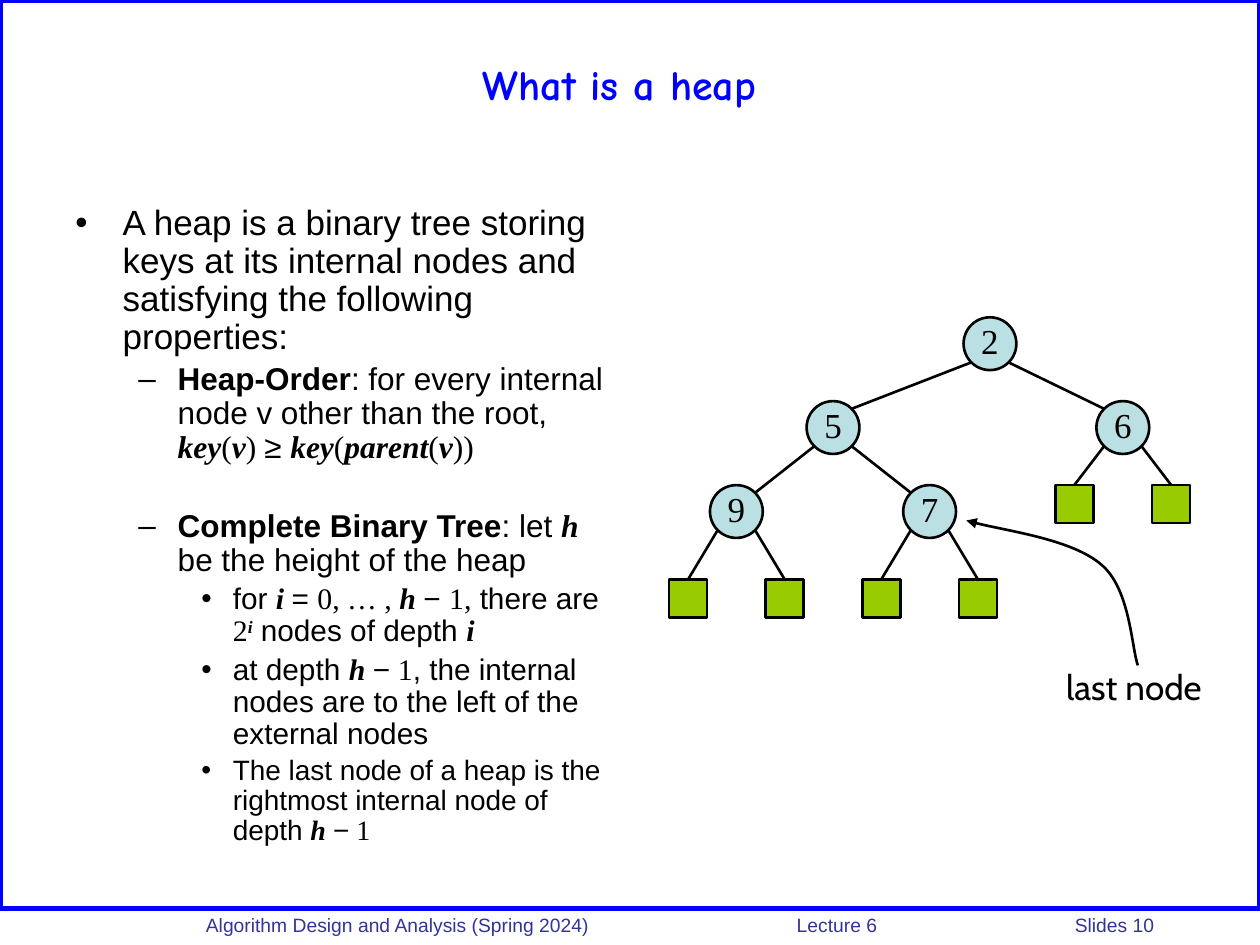
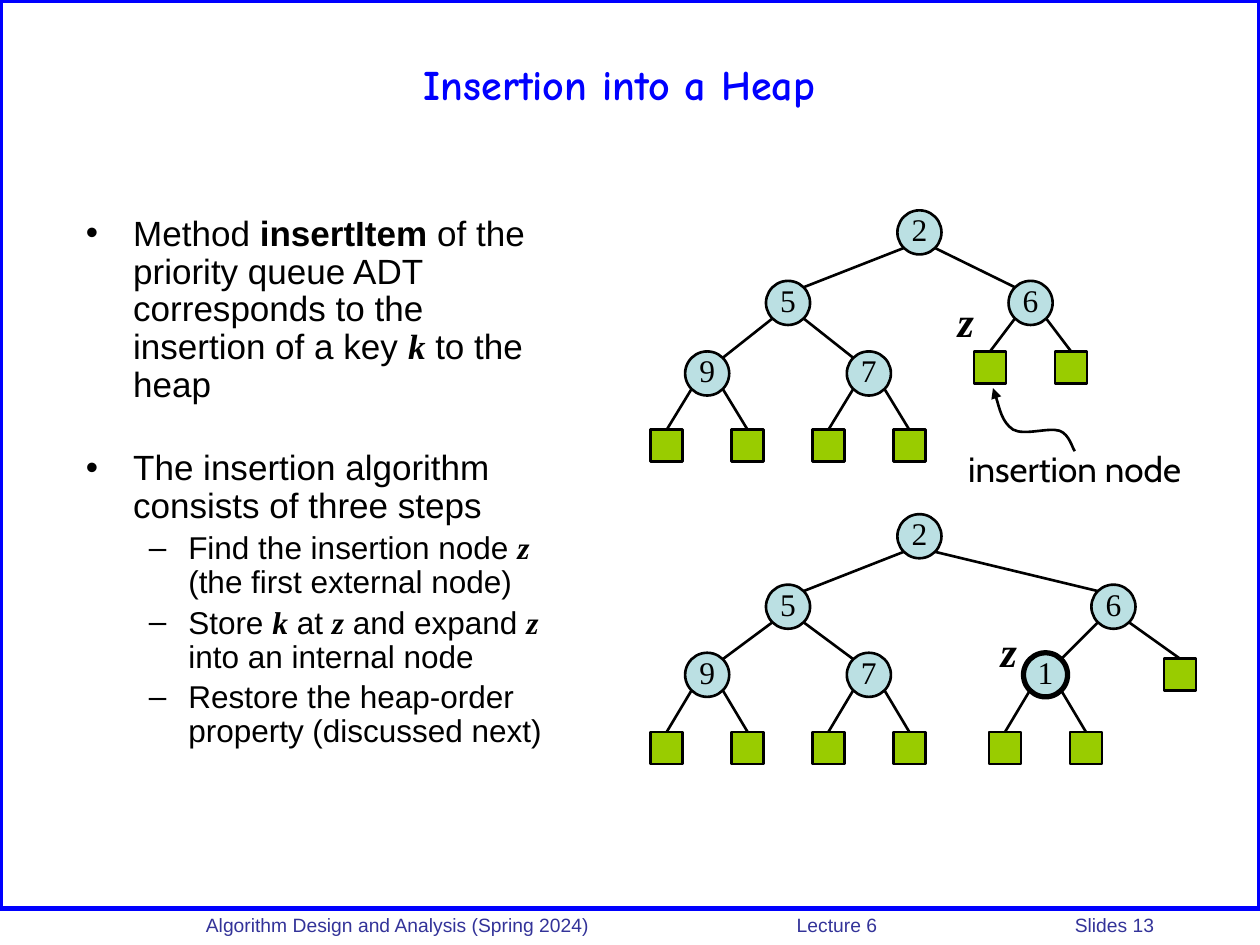
import lxml.etree
import pptx
import pptx.dml.color
import pptx.enum.shapes
import pptx.enum.text
import pptx.oxml.ns
import pptx.util

Pt = pptx.util.Pt
qn = pptx.oxml.ns.qn
MSO = pptx.enum.shapes.MSO_SHAPE
ALIGN = pptx.enum.text.PP_ALIGN
ANCHOR = pptx.enum.text.MSO_ANCHOR

# Shared look
BLUE, NAVY, BLACK = "0000FF", "333399", "000000"
NODE_FILL, LEAF_FILL = "BBE0E3", "99CC00"
SANS, SERIF, TITLE_FONT, LABEL_FONT = "Arial", "Times New Roman", "Comic Neue", "Cabin"
FOOTER = ("Algorithm Design and Analysis (Spring 2024)", "Lecture 6")
FOOTER_TABS = (337.6, 496.5)
TITLE_BOX = (48, 6, 612, 84)

# Run styles: font, bold, italic, superscript
STYLES = {
    "plain": (SANS, False, False, False),
    "bold": (SANS, True, False, False),
    "math": (SERIF, False, False, False),
    "var": (SERIF, True, True, False),
    "power": (SERIF, True, True, True),
}
# Outline levels: bullet, left margin, hanging indent
LEVELS = (("•", 27, 27), ("–", 58.5, 22.5), ("•", 90, 18))

# Trees: (key, column, row, children); a key of None is an external node
def leaf(col, row=4):
    return (None, col, row, ())


def inner(key, col, row=2):
    return (key, col, row, (leaf(col - 1), leaf(col + 1)))


LEFT_SUBTREE = ("5", 0, 1, (inner("9", -2), inner("7", 2)))
HEAP = ("2", 3.25, 0, (LEFT_SUBTREE, ("6", 6, 1, (leaf(5, 3), leaf(7, 3)))))
EXPANDED_HEAP = ("2", 3.25, 0, (LEFT_SUBTREE,
                                ("6", 8.05, 1, (inner("1", 6.37), leaf(9.7, 3)))))
INSERTED_KEY = "1"

# Paragraphs: level, size, extra gap before, runs
SLIDES = [
    {
        "title": "What is a heap",
        "number": "Slides 10",
        "body_box": (36, 114, 318, 378),
        "body": [
            (0, 20, 0, [("A heap is a binary tree storing keys at its internal nodes "
                         "and satisfying the following properties:", "plain")]),
            (1, 18, 0, [("Heap-Order", "bold"),
                        (": for every internal node v other than the root,\n", "plain"),
                        ("key", "var"), ("(", "math"), ("v", "var"), (") ", "math"),
                        ("≥ ", "plain"), ("key", "var"), ("(", "math"),
                        ("parent", "var"), ("(", "math"), ("v", "var"), ("))", "math")]),
            (1, 18, 22, [("Complete Binary Tree", "bold"), (": let ", "plain"),
                         ("h", "var"), (" be the height of the heap", "plain")]),
            (2, 17, 0, [("for ", "plain"), ("i ", "var"), ("= ", "plain"),
                        ("0, … , ", "math"), ("h ", "var"), ("− ", "plain"),
                        ("1,", "math"), (" there are ", "plain"), ("2", "math"),
                        ("i", "power"), (" nodes of depth ", "plain"), ("i", "var")]),
            (2, 17, 0, [("at depth ", "plain"), ("h ", "var"), ("−", "plain"),
                        (" 1", "math"), (", the internal nodes are to the left of "
                                         "the external nodes", "plain")]),
            (2, 16, 0, [("The last node of a heap is the rightmost internal node "
                         "of depth ", "plain"), ("h ", "var"), ("−", "plain"),
                        (" 1", "math")]),
        ],
        "trees": [{"root": HEAP, "x": 476, "unit": 27.6, "node": 30.2, "leaf": 21.8,
                   "size": 20, "rows": (196.4, 244.3, 292.3, 288, 342)}],
        "arrow": [(650.2, 380.2), (646.6, 370.1), (645.8, 336.2), (629.3, 322.6),
                  (612.7, 308.2), (568.1, 302.4), (552.2, 297.4)],
        "labels": [("last node", (600.5, 376.6, 95, 31), 20, LABEL_FONT, False)],
    },
    {
        "title": "Insertion into a Heap",
        "number": "Slides 13",
        "body_box": (42, 120, 276, 366),
        "body": [
            (0, 20, 0, [("Method ", "plain"), ("insertItem", "bold"),
                        (" of the priority queue ADT corresponds to the insertion "
                         "of a key ", "plain"), ("k", "var"), (" to the heap", "plain")]),
            (0, 20, 22, [("The insertion algorithm consists of three steps", "plain")]),
            (1, 18, 0, [("Find the insertion node ", "plain"), ("z", "var"),
                        (" (the first external node)", "plain")]),
            (1, 18, 0, [("Store ", "plain"), ("k", "var"), (" at ", "plain"),
                        ("z", "var"), (" and expand ", "plain"), ("z ", "var"),
                        ("into an internal node", "plain")]),
            (1, 18, 0, [("Restore the heap-order property (discussed next)", "plain")]),
        ],
        "trees": [{"root": root, "x": 450.3, "unit": 23.1, "node": 25.2, "leaf": 18.3,
                   "size": 18, "rows": rows} for root, rows in (
                      (HEAP, (132.8, 173.1, 213.4, 209.9, 254.7)),
                      (EXPANDED_HEAP, (306.4, 346.7, 385.6, 385.6, 427.4)))],
        "arrow": [(614.2, 257.8), (612.7, 256.3), (611.3, 248.4), (605.5, 246.2),
                  (599, 244.1), (585.4, 249.1), (578.9, 245.5), (572.4, 241.2),
                  (569.5, 226.8), (567.4, 221.8)],
        "labels": [("insertion node", (544.3, 252, 139.7, 31), 20, LABEL_FONT, False),
                   ("z", (540, 165.6, 23.8, 36), 24, SERIF, True),
                   ("z", (564.5, 354.2, 23.8, 36), 24, SERIF, True)],
    },
]


def rgb(value):
    return pptx.dml.color.RGBColor.from_string(value)


def points(values):
    return [Pt(v) for v in values]


def add_run(p, text, size, font, color=BLACK, bold=False, italic=False):
    r = p.add_run()
    r.text = text
    r.font.size, r.font.name = Pt(size), font
    r.font.bold, r.font.italic = bold, italic
    r.font.color.rgb = rgb(color)
    return r


def set_line(sp, color=BLACK, width=1.5):
    sp.line.color.rgb = rgb(color)
    sp.line.width = Pt(width)


def add_box(slide, kind, box, fill=None, color=BLACK, width=1.5):
    sp = slide.shapes.add_shape(kind, *points(box))
    sp.shadow.inherit = False
    if fill:
        sp.fill.solid()
        sp.fill.fore_color.rgb = rgb(fill)
    else:
        sp.fill.background()
    set_line(sp, color, width)
    return sp


def add_text(slide, box, wrap):
    tf = slide.shapes.add_textbox(*points(box)).text_frame
    tf.word_wrap = wrap
    return tf


def add_frame_and_footer(slide, number):
    add_box(slide, MSO.RECTANGLE, (0, 0, 720, 519), color=BLUE, width=3)
    p = add_text(slide, (110.6, 518.4, 609.4, 18.7), True).paragraphs[0]
    tabs = lxml.etree.SubElement(p._p.get_or_add_pPr(), qn("a:tabLst"))
    for pos in FOOTER_TABS:
        lxml.etree.SubElement(tabs, qn("a:tab"), pos=str(Pt(pos)), algn="l")
    add_run(p, "\t".join((*FOOTER, number)), 11, SANS, NAVY)


def add_title(slide, text):
    sp = slide.shapes.title
    sp.left, sp.top, sp.width, sp.height = points(TITLE_BOX)
    tf = sp.text_frame
    tf.vertical_anchor = ANCHOR.MIDDLE
    p = tf.paragraphs[0]
    p.alignment = ALIGN.CENTER
    add_run(p, text, 24, TITLE_FONT, BLUE, bold=True)


def add_body(slide, box, paragraphs):
    tf = add_text(slide, box, True)
    for i, (level, size, gap, runs) in enumerate(paragraphs):
        p = tf.add_paragraph() if i else tf.paragraphs[0]
        bullet, margin, hang = LEVELS[level]
        pPr = p._p.get_or_add_pPr()
        pPr.set("marL", str(Pt(margin)))
        pPr.set("indent", str(-Pt(hang)))
        lxml.etree.SubElement(pPr, qn("a:buFont"), typeface=SANS)
        lxml.etree.SubElement(pPr, qn("a:buChar"), char=bullet)
        p.level = level
        p.line_spacing = 0.9
        if i:
            p.space_before = Pt(0.2 * size + gap)
        for text, style in runs:
            font, bold, italic, raised = STYLES[style]
            r = add_run(p, text.rstrip("\n"), size, font, bold=bold, italic=italic)
            if raised:
                r._r.get_or_add_rPr().set("baseline", "30000")
            if text.endswith("\n"):
                p.add_line_break()


def add_edge(slide, start, end, child=None):
    c = slide.shapes.add_connector(pptx.enum.shapes.MSO_CONNECTOR.STRAIGHT,
                                   *points((*start, *end)))
    set_line(c)
    lxml.etree.SubElement(c._element.spPr, qn("a:effectLst"))
    if child is not None:
        c.end_connect(child, 0)


def add_tree(slide, tree, node):
    """Draw a node, then its children and the edges down to them."""
    key, col, row, children = node
    x, y = tree["x"] + col * tree["unit"], tree["rows"][row]
    side = tree["leaf"] if key is None else tree["node"]
    box = (x - side / 2, y - side / 2, side, side)
    if key is None:
        return add_box(slide, MSO.RECTANGLE, box, LEAF_FILL)

    sp = add_box(slide, MSO.OVAL, box, NODE_FILL, width=3 if key == INSERTED_KEY else 1.5)
    tf = sp.text_frame
    tf.word_wrap = False
    tf.vertical_anchor = ANCHOR.MIDDLE
    tf.margin_left = tf.margin_top = tf.margin_right = 0
    tf.margin_bottom = Pt(3.6)
    p = tf.paragraphs[0]
    p.alignment = ALIGN.CENTER
    add_run(p, key, tree["size"], SERIF)

    # Edges touch circles on their diagonals and squares at the top
    reach = side / 2 * 0.71
    for child in children:
        child_sp = add_tree(slide, tree, child)
        child_x = tree["x"] + child[1] * tree["unit"]
        child_y = tree["rows"][child[2]]
        turn = reach if child_x > x else -reach
        start = (x + turn, y + reach)
        if child[0] is None:
            add_edge(slide, start, (child_x, child_y - tree["leaf"] / 2), child_sp)
        else:
            add_edge(slide, start, (child_x - turn, child_y - reach))
    return sp


def add_curved_arrow(slide, pts):
    """Draw cubic curves through every third point, ending in an arrowhead."""
    pts = [tuple(points(pt)) for pt in pts]
    fb = slide.shapes.build_freeform(*pts[0])
    fb.add_line_segments(pts[1:], close=False)
    sp = fb.convert_to_shape()
    sp.shadow.inherit = False
    sp.fill.background()
    set_line(sp)
    segments = list(sp._element.iter(qn("a:lnTo")))
    outline = segments[0].getparent()
    for i in range(0, len(segments), 3):
        curve = lxml.etree.SubElement(outline, qn("a:cubicBezTo"))
        for segment in segments[i:i + 3]:
            curve.append(segment[0])
            outline.remove(segment)
    lxml.etree.SubElement(sp.line._get_or_add_ln(), qn("a:tailEnd"), type="triangle")


def main():
    prs = pptx.Presentation()
    prs.slide_width, prs.slide_height = Pt(720), Pt(540)
    for content in SLIDES:
        slide = prs.slides.add_slide(prs.slide_layouts[5])
        add_frame_and_footer(slide, content["number"])
        add_title(slide, content["title"])
        add_body(slide, content["body_box"], content["body"])
        for tree in content["trees"]:
            add_tree(slide, tree, tree["root"])
        add_curved_arrow(slide, content["arrow"])
        for text, box, size, font, strong in content["labels"]:
            p = add_text(slide, box, False).paragraphs[0]
            p.alignment = ALIGN.CENTER
            add_run(p, text, size, font, bold=strong, italic=strong)
    prs.save("out.pptx")


if __name__ == "__main__":
    main()
